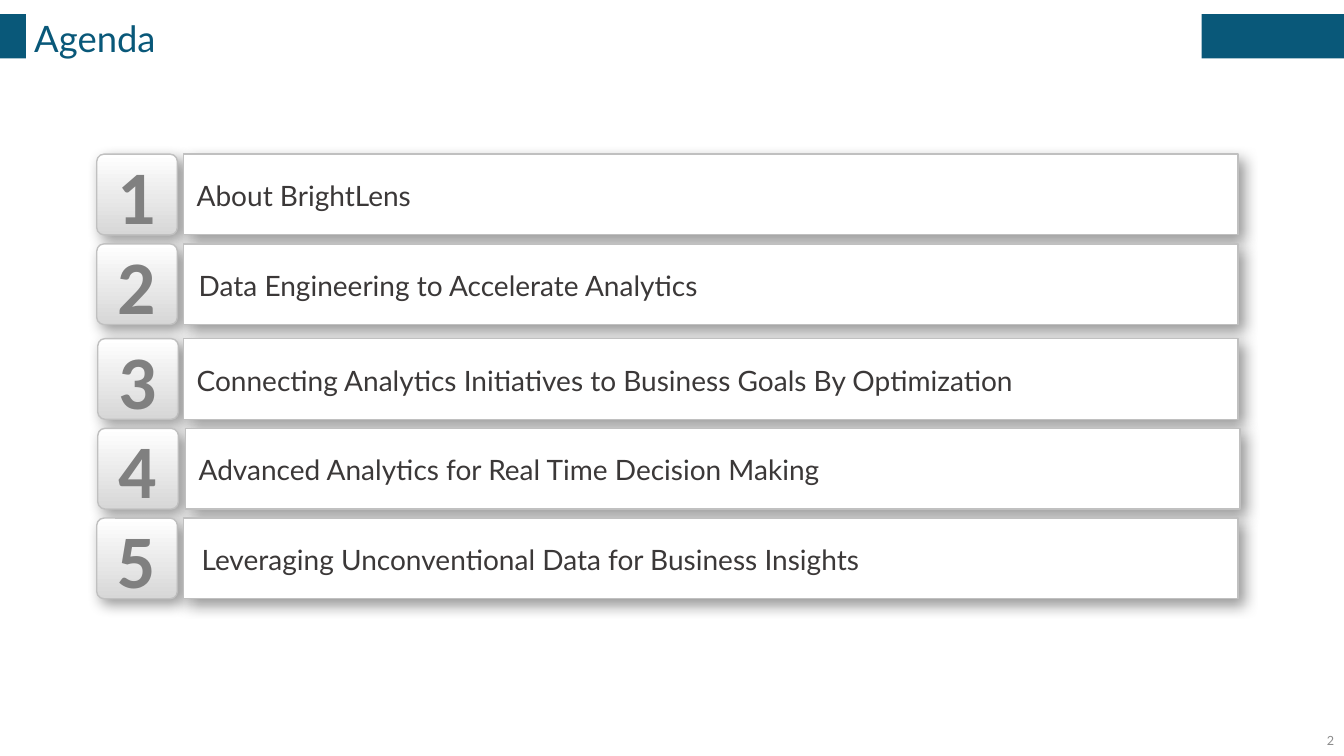
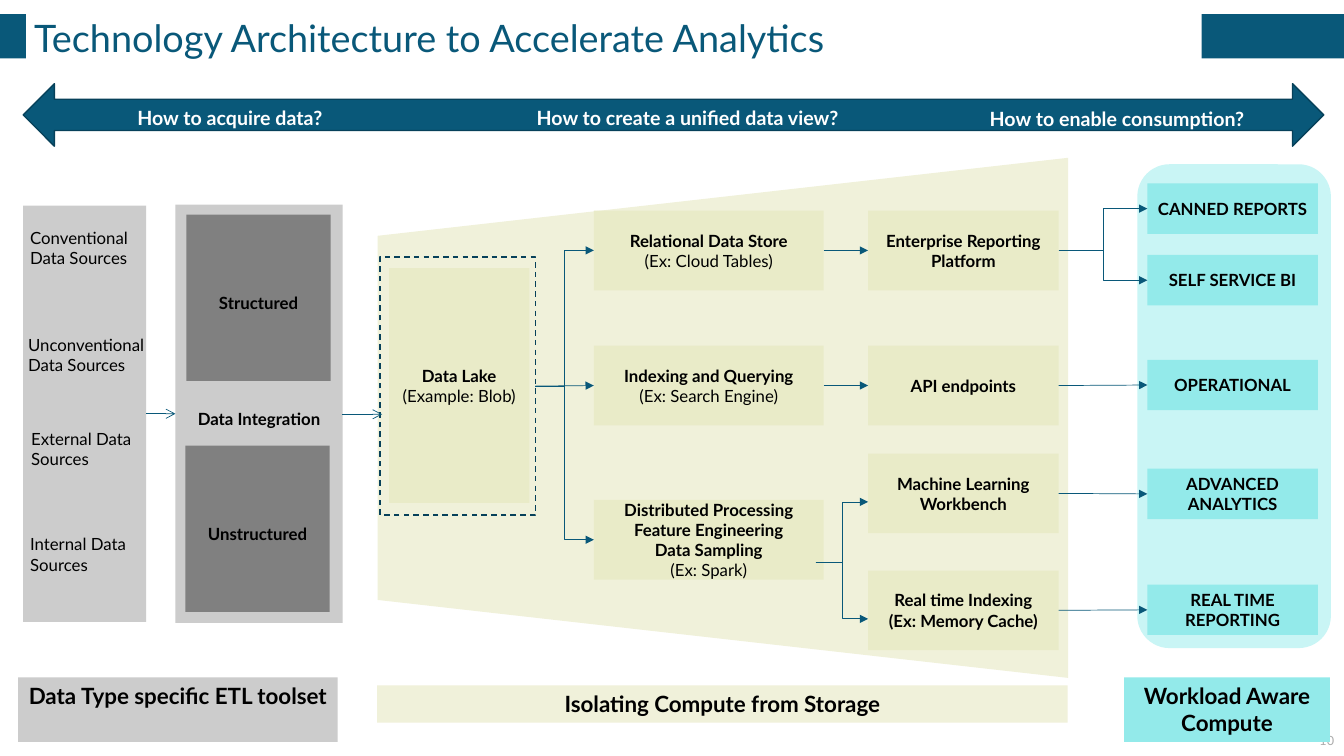
from lxml import etree
from pptx import Presentation
from pptx.dml.color import RGBColor
from pptx.enum.dml import MSO_LINE
from pptx.enum.shapes import MSO_CONNECTOR, MSO_SHAPE
from pptx.enum.text import MSO_ANCHOR, PP_ALIGN
from pptx.oxml import parse_xml
from pptx.oxml.ns import nsdecls, qn
from pptx.util import Inches, Pt

RECT, ROUND = MSO_SHAPE.RECTANGLE, MSO_SHAPE.ROUNDED_RECTANGLE
TRAPEZOID, DOUBLE_ARROW = MSO_SHAPE.TRAPEZOID, MSO_SHAPE.LEFT_RIGHT_ARROW
STRAIGHT, ELBOW = MSO_CONNECTOR.STRAIGHT, MSO_CONNECTOR.ELBOW
LEFT, CENTER, RIGHT = PP_ALIGN.LEFT, PP_ALIGN.CENTER, PP_ALIGN.RIGHT
TOP, MIDDLE = MSO_ANCHOR.TOP, MSO_ANCHOR.MIDDLE
DASH = MSO_LINE.DASH


class Theme:
    font, number_font = "Lato", "Calibri"
    teal, dark_teal = "095879", "07415A"
    white, black, ink = "FFFFFF", "000000", "3B3838"
    silver, light_grey, grey, card_line = "D7D7D7", "CCCCCC", "808080", "C0C0C0"
    page_grey, pale_page_grey = "8C8C8C", "ACACAC"
    sand, pale_sand = "E9EBC8", "F0F1DA"
    aqua, pale_aqua = "93EAEA", "C9F5F5"
    title, long_title = 26, 27
    page, label, question, banner, item, number = 9, 12, 14, 16, 20, 54


def add_box(s, shape, at, fill=None, text=(), size=Theme.label, bold=True,
            color=Theme.black, align=CENTER, anchor=MIDDLE, line=None,
            insets=(0.1, 0.05, 0.1, 0.05), spacing=None, font=Theme.font):
    at = [Inches(v) for v in at]
    if shape is None:
        sp = s.shapes.add_textbox(*at)
    else:
        sp = s.shapes.add_shape(shape, *at)
        sp.shadow.inherit = False
        if line:
            sp.line.color.rgb = RGBColor.from_string(line)
            sp.line.width = Pt(1)
        else:
            sp.line.fill.background()
    if fill:
        sp.fill.solid()
        sp.fill.fore_color.rgb = RGBColor.from_string(fill)
    else:
        sp.fill.background()
    tf = sp.text_frame
    tf.word_wrap = True
    tf.vertical_anchor = anchor
    tf.margin_left, tf.margin_top, tf.margin_right, tf.margin_bottom = [Inches(v) for v in insets]
    for i, words in enumerate(text):
        p = tf.add_paragraph() if i else tf.paragraphs[0]
        p.alignment = align
        if spacing:
            p.line_spacing = spacing
        r = p.add_run()
        r.text = words
        r.font.name = font
        r.font.size = Pt(size)
        r.font.bold = bold
        r.font.color.rgb = RGBColor.from_string(color)
    return sp


def connect(s, kind, start, end, head="triangle"):
    ends = []
    for target, side in ((start, 1), (end, 0)):
        if isinstance(target, tuple):
            ends += [Inches(v) for v in target]
        else:
            ends += [target.left + side * target.width, target.top + target.height // 2]
    c = s.shapes.add_connector(kind, *ends)
    if not isinstance(start, tuple):
        c.begin_connect(start, 3)
    if not isinstance(end, tuple):
        c.end_connect(end, 1)
    c.line.color.rgb = RGBColor.from_string(Theme.teal)
    c.line.width = Pt(0.5)
    etree.SubElement(c.line._get_or_add_ln(), qn("a:tailEnd"), type=head)
    etree.SubElement(c._element.spPr, qn("a:effectLst"))


prs = Presentation()
prs.slide_width, prs.slide_height = Inches(13.33), Inches(7.5)

slides = []
for title, size, page, page_color in [
    ("Agenda", Theme.title, "2", Theme.page_grey),
    ("Technology Architecture to Accelerate Analytics", Theme.long_title, "10",
     Theme.pale_page_grey),
]:
    s = prs.slides.add_slide(prs.slide_layouts[6])
    add_box(s, RECT, (0, 0.14, 13.33, 0.44), Theme.teal)
    add_box(s, None, (0.26, 0.08, 11.66, 0.59), Theme.white, [title], size, False,
            Theme.teal, LEFT, insets=(0.08, 0, 0.08, 0))
    add_box(s, None, (10.33, 7.22, 3, 0.26), None, [page], Theme.page, False, page_color, RIGHT)
    slides.append(s)
agenda, architecture = slides

s = agenda
for i, (top, number_left, card_left, indent, topic) in enumerate([
    (1.53, 0.96, 1.82, 0.13, "About BrightLens"),
    (2.42, 0.96, 1.82, 0.15, "Data Engineering to Accelerate Analytics"),
    (3.36, 0.97, 1.82, 0.13, "Connecting Analytics Initiatives to Business Goals By Optimization"),
    (4.25, 0.97, 1.84, 0.13, "Advanced Analytics for Real Time Decision Making"),
    (5.14, 0.96, 1.82, 0.18, "Leveraging Unconventional Data for Business Insights"),
], 1):
    number = add_box(s, ROUND, (number_left, top, 0.8, 0.8), None, [str(i)], Theme.number,
                     color=Theme.grey, line=Theme.card_line, insets=(0, 0, 0, 0),
                     font=Theme.number_font)
    number.adjustments[0] = 0.09
    number.fill.gradient()
    number.fill.gradient_angle = 90
    for stop, color in zip(number.fill.gradient_stops, (Theme.silver, Theme.white)):
        stop.color.rgb = RGBColor.from_string(color)
    card = add_box(s, RECT, (card_left, top, 10.46, 0.8), Theme.white, [topic], Theme.item,
                   False, Theme.ink, LEFT, line=Theme.card_line, insets=(indent, 0.02, 0.1, 0))
    for sp in (number, card):
        sp._element.spPr.find(qn("a:effectLst")).append(parse_xml(
            f'<a:outerShdw {nsdecls("a")} blurRad="{Pt(10)}" dist="{Pt(5)}" dir="2700000" '
            f'algn="tl" rotWithShape="0"><a:srgbClr val="{Theme.black}">'
            '<a:alpha val="40000"/></a:srgbClr></a:outerShdw>'))

s = architecture
add_box(s, ROUND, (11.28, 1.63, 1.92, 4.8), Theme.pale_aqua)
funnel = add_box(s, TRAPEZOID, (4.59, 0.72, 5.16, 6.85), Theme.pale_sand)
funnel.rotation = 270
funnel.adjustments[0] = 0.15

add_box(s, DOUBLE_ARROW, (0.23, 0.83, 12.9, 0.62), Theme.teal, line=Theme.dark_teal)
for left, top, width, question in [
    (1.2, 1, 2.16, "How to acquire data?"),
    (5.12, 1, 3.4, "How to create a unified data view?"),
    (9.63, 1.01, 2.9, "How to enable consumption?"),
]:
    add_box(s, None, (left, top, width, 0.34), None, [question], Theme.question,
            color=Theme.white, anchor=TOP)

sources = add_box(s, RECT, (0.23, 2.04, 1.22, 4.13), Theme.light_grey)
for left, top, width, kind in [
    (0.2, 2.21, 1.22, "Conventional"),
    (0.18, 3.27, 1.45, "Unconventional"),
    (0.21, 4.2, 1.45, "External"),
    (0.2, 5.25, 1.45, "Internal"),
]:
    add_box(s, None, (left, top, width, 0.5), None, [f"{kind} Data Sources"],
            bold=False, align=LEFT, anchor=TOP)

integration = add_box(s, RECT, (1.74, 2.03, 1.66, 4.15), Theme.light_grey,
                      ["Data Integration"], spacing=1.5)
for left, top, kind in [(1.85, 2.13, "Structured"), (1.84, 4.42, "Unstructured")]:
    add_box(s, RECT, (left, top, 1.43, 1.65), Theme.grey, [kind], spacing=1.5)

lake = add_box(s, RECT, (3.77, 2.55, 1.54, 2.56), line=Theme.dark_teal)
lake.line.dash_style = DASH

boxes = {}
for name, at, text, plain_last in [
    ("lake", (3.86, 2.66, 1.39, 2.33), ["Data Lake", "(Example: Blob)"], True),
    ("store", (5.89, 2.09, 2.28, 0.79), ["Relational Data Store", "(Ex: Cloud Tables)"], True),
    ("index", (5.89, 3.43, 2.28, 0.79), ["Indexing and Querying", "(Ex: Search Engine)"], True),
    ("compute", (5.89, 4.96, 2.28, 0.79),
     ["Distributed Processing", "Feature Engineering", "Data Sampling", "(Ex: Spark)"], True),
    ("platform", (8.61, 2.09, 1.89, 0.79), ["Enterprise Reporting Platform"], False),
    ("api", (8.61, 3.43, 1.89, 0.79), ["API endpoints"], False),
    ("workbench", (8.61, 4.5, 1.89, 0.79), ["Machine Learning Workbench"], False),
    ("realtime", (8.61, 5.66, 1.89, 0.79), ["Real time Indexing", "(Ex: Memory Cache)"], False),
]:
    boxes[name] = add_box(s, RECT, at, Theme.sand, text)
    if plain_last:
        boxes[name].text_frame.paragraphs[-1].runs[0].font.bold = False

for name, top, text in [
    ("canned", 1.82, "CANNED REPORTS"),
    ("self", 2.53, "SELF SERVICE BI"),
    ("operational", 3.57, "OPERATIONAL"),
    ("advanced", 4.65, "ADVANCED ANALYTICS"),
    ("reporting", 5.8, "REAL TIME REPORTING"),
]:
    boxes[name] = add_box(s, RECT, (11.38, top, 1.69, 0.5), Theme.aqua, [text])

connect(s, STRAIGHT, sources, integration, "arrow")
connect(s, STRAIGHT, (3.39, 4.11), (3.79, 4.11), "arrow")
connect(s, STRAIGHT, lake, boxes["index"])
for name in ("store", "compute"):
    connect(s, ELBOW, lake, boxes[name])
for y in (4.98, 6.14):
    connect(s, ELBOW, (8.09, 5.58), (8.61, y))
for name in ("canned", "self"):
    connect(s, ELBOW, boxes["platform"], boxes[name])
for start, end in [("store", "platform"), ("index", "api"), ("api", "operational"),
                   ("workbench", "advanced"), ("realtime", "reporting")]:
    connect(s, STRAIGHT, boxes[start], boxes[end])

for at, fill, text in [
    ((0.18, 6.72, 3.17, 0.64), Theme.light_grey, "Data Type specific ETL toolset"),
    ((3.74, 6.8, 6.85, 0.37), Theme.pale_sand, "Isolating Compute from Storage"),
    ((11.15, 6.72, 2.04, 0.64), Theme.aqua, "Workload Aware Compute"),
]:
    add_box(s, RECT, at, fill, [text], Theme.banner, anchor=TOP)

prs.save("out.pptx")
